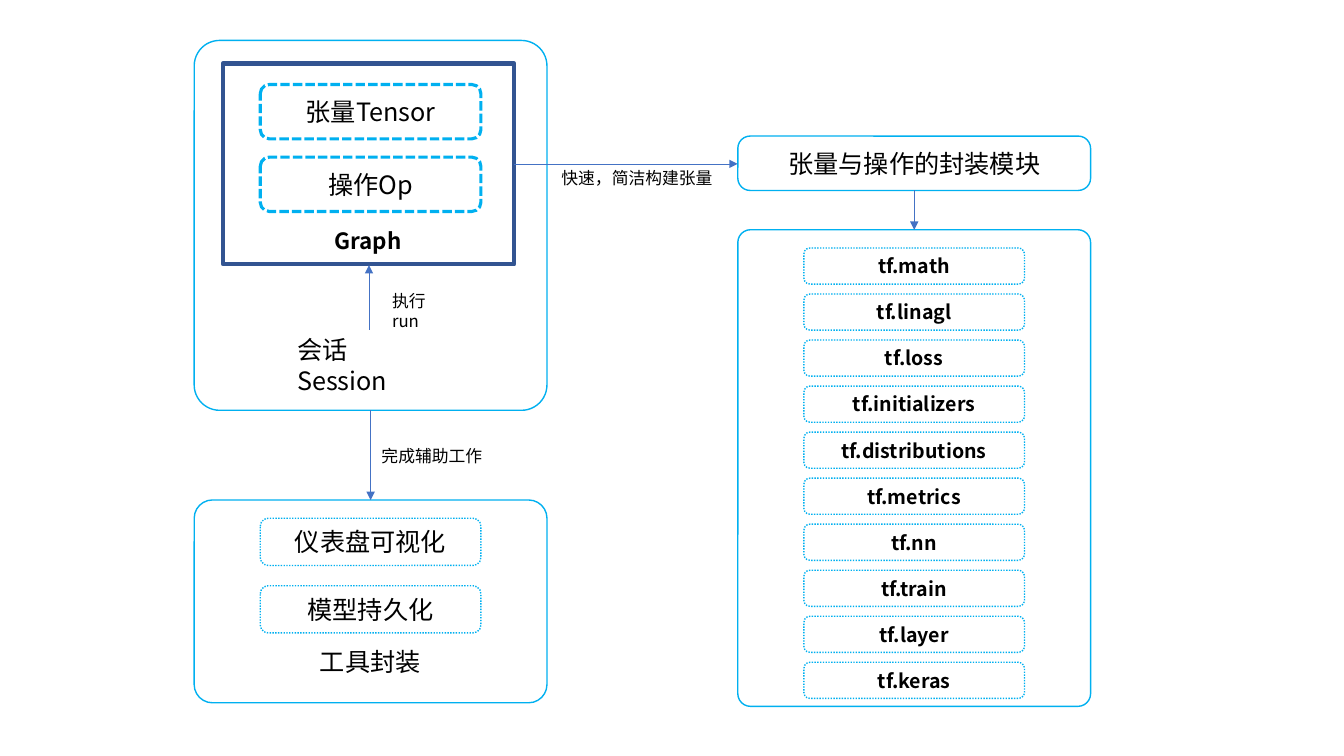
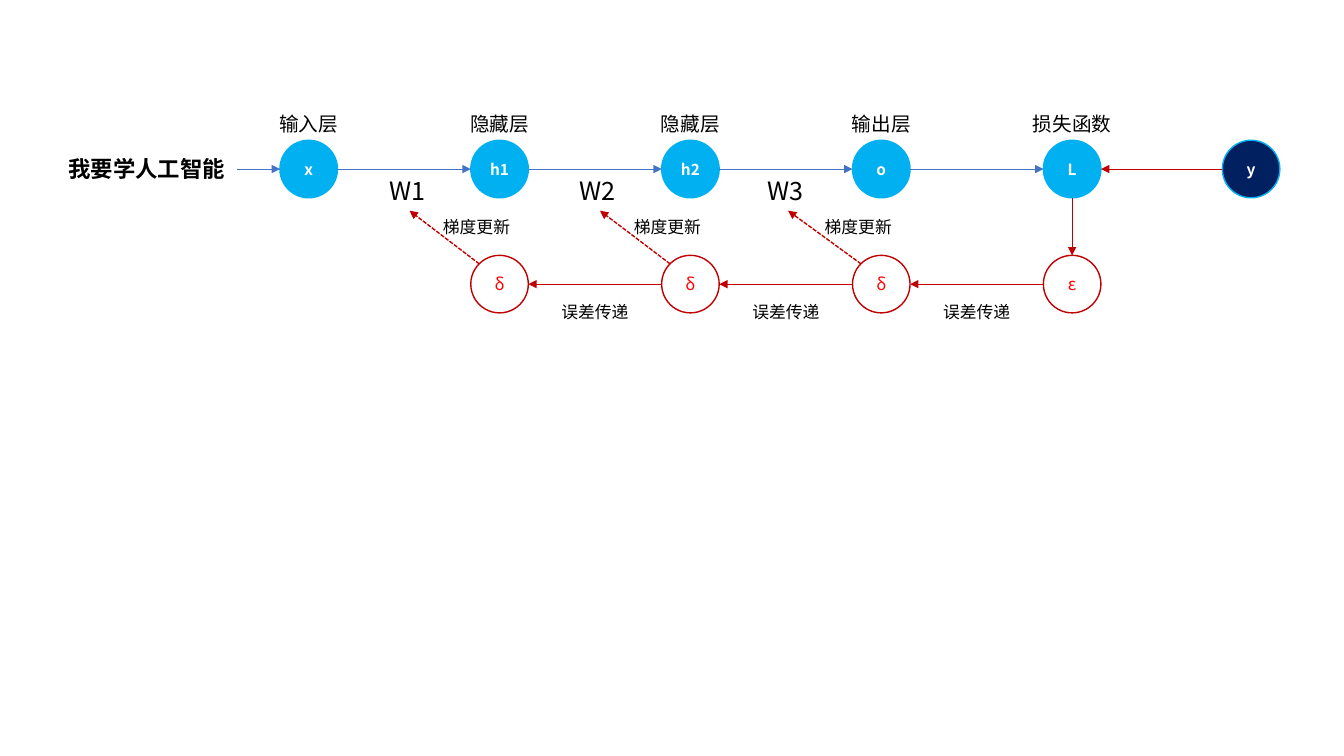
from lxml import etree
from pptx import Presentation
from pptx.dml.color import RGBColor
from pptx.enum.dml import MSO_LINE
from pptx.enum.shapes import MSO_CONNECTOR, MSO_SHAPE
from pptx.enum.text import MSO_ANCHOR, PP_ALIGN
from pptx.oxml.ns import qn
from pptx.util import Cm, Pt

FONT = "Noto Sans CJK SC"
SKY = RGBColor(0x00, 0xB0, 0xF0)
BLUE = RGBColor(0x44, 0x72, 0xC4)
FRAME_BLUE = RGBColor(0x32, 0x54, 0x91)
NAVY = RGBColor(0x00, 0x20, 0x60)
CRIMSON = RGBColor(0xC0, 0x00, 0x00)
RED = RGBColor(0xFF, 0x00, 0x00)
BLACK = RGBColor(0x00, 0x00, 0x00)
WHITE = RGBColor(0xFF, 0xFF, 0xFF)

ROUNDED = MSO_SHAPE.ROUNDED_RECTANGLE
RECTANGLE = MSO_SHAPE.RECTANGLE
OVAL = MSO_SHAPE.OVAL
STRAIGHT = MSO_CONNECTOR.STRAIGHT
DASHED = MSO_LINE.SQUARE_DOT
DOTTED = MSO_LINE.ROUND_DOT
CENTER = PP_ALIGN.CENTER
LEFT = PP_ALIGN.LEFT
MIDDLE = MSO_ANCHOR.MIDDLE


def add_box(slide, left, top, width, height, lines=(), size=18, bold=False,
            color=BLACK, align=CENTER, form=None, line=SKY, weight=1,
            dash=None, fill=None, corner=None):
    """Add an outlined shape, or a plain text label when form is None."""
    place = Cm(left), Cm(top), Cm(width), Cm(height)
    if form is None:
        box = slide.shapes.add_textbox(*place)
        box.text_frame.word_wrap = False
    else:
        box = slide.shapes.add_shape(form, *place)
        box.shadow.inherit = False
        box.line.color.rgb = line
        box.line.width = Pt(weight)
        if dash:
            box.line.dash_style = dash
        if fill:
            box.fill.solid()
            box.fill.fore_color.rgb = fill
        else:
            box.fill.background()
        if corner:
            box.adjustments[0] = corner
        frame = box.text_frame
        frame.vertical_anchor = MIDDLE
        frame.margin_left = frame.margin_right = 0
        frame.margin_top = frame.margin_bottom = 0

    para = box.text_frame.paragraphs[0]
    para.alignment = align
    for number, text in enumerate(lines):
        if number:
            para.add_line_break()
        span = para.add_run()
        span.text = text
        span.font.size = Pt(size)
        span.font.bold = bold
        span.font.color.rgb = color
        span.font.name = FONT
        etree.SubElement(span._r.get_or_add_rPr(), qn("a:ea"), typeface=FONT)


def add_arrow(slide, start, end, color=BLUE, weight=0.5, dash=None):
    points = [Cm(value) for value in (*start, *end)]
    arrow = slide.shapes.add_connector(STRAIGHT, *points)
    arrow.line.color.rgb = color
    arrow.line.width = Pt(weight)
    if dash:
        arrow.line.dash_style = dash
    properties = arrow._element.spPr
    etree.SubElement(properties.find(qn("a:ln")), qn("a:tailEnd"), type="triangle")
    etree.SubElement(properties, qn("a:effectLst"))


deck = Presentation()
deck.slide_width, deck.slide_height = Cm(33.87), Cm(19.05)
blank = deck.slide_layouts[6]

# Slide 1: framework structure
slide = deck.slides.add_slide(blank)
PANEL_WIDTH, CHIP_WIDTH = 8.89, 5.56
LEFT_CENTER, RIGHT_CENTER = 9.34, 23.04

for center, top, height, corner, lines in (
    (LEFT_CENTER, 1.02, 9.32, 0.072, ()),
    (LEFT_CENTER, 12.6, 5.11, 0.09, ()),
    (RIGHT_CENTER, 3.43, 1.37, 0.226, ("张量与操作的封装模块",)),
    (RIGHT_CENTER, 5.79, 12.01, 0.036, ()),
):
    add_box(slide, center - PANEL_WIDTH / 2, top, PANEL_WIDTH, height, lines,
            form=ROUNDED, corner=corner)
add_box(slide, 5.62, 1.6, 7.34, 5.06, form=RECTANGLE, line=FRAME_BLUE, weight=3)

modules = ("math", "linagl", "loss", "initializers", "distributions",
           "metrics", "nn", "train", "layer", "keras")
chip_groups = (
    (LEFT_CENTER, 2.13, 1.83, 1.37, ("张量Tensor", "操作Op"), 18, False, 2.25, DASHED),
    (LEFT_CENTER, 13.06, 1.7, 1.19, ("仪表盘可视化", "模型持久化"), 18, False, 1, DOTTED),
    (RIGHT_CENTER, 6.25, 1.16, 0.91, [f"tf.{name}" for name in modules],
     14, True, 1, DOTTED),
)
for center, top, step, height, names, size, bold, weight, dash in chip_groups:
    for row, name in enumerate(names):
        add_box(slide, center - CHIP_WIDTH / 2, top + row * step, CHIP_WIDTH, height,
                [name], size, bold, form=ROUNDED, weight=weight, dash=dash)

for start, end in (
    ((12.95, 4.13), (18.59, 4.13)),
    ((LEFT_CENTER, 10.34), (LEFT_CENTER, 12.6)),
    ((RIGHT_CENTER, 4.8), (RIGHT_CENTER, 5.79)),
    ((9.3, 8.31), (9.3, 6.68)),
):
    add_arrow(slide, start, end)

add_box(slide, 8.15, 5.59, 2.26, 0.94, ["Graph"], 16, True)
add_box(slide, 9.63, 7.21, 1.35, 1.25, ["执行", "run"], 12, align=LEFT)
add_box(slide, 7.24, 8.31, 3, 1.9, ["会话", "Session"], align=LEFT)
add_box(slide, 13.87, 4.11, 4.37, 0.76, ["快速，简洁构建张量"], 12)
add_box(slide, 9.35, 11.1, 3.07, 0.76, ["完成辅助工作"], 12)
add_box(slide, 7.8, 16.15, 3.07, 1.02, ["工具封装"])

# Slide 2: forward pass and error backpropagation
slide = deck.slides.add_slide(blank)
DIAMETER = 1.45
RADIUS = DIAMETER / 2
FORWARD_Y, BACK_Y = 4.26, 7.16
TARGET_X = 31.53
LABEL_WIDTH = 2.5
centers = [7.78 + 4.81 * column for column in range(5)]
layers = (("x", "输入层"), ("h1", "隐藏层"), ("h2", "隐藏层"),
          ("o", "输出层"), ("L", "损失函数"))

nodes = [(x, FORWARD_Y, symbol, SKY) for x, (symbol, _) in zip(centers, layers)]
nodes.append((TARGET_X, FORWARD_Y, "y", NAVY))
nodes += [(x, BACK_Y, symbol, None) for x, symbol in zip(centers[1:], "δδδε")]
for x, y, symbol, fill in nodes:
    add_box(slide, x - RADIUS, y - RADIUS, DIAMETER, DIAMETER, [symbol],
            size=11 if fill else 12, bold=bool(fill), color=WHITE if fill else RED,
            form=OVAL, line=SKY if fill else CRIMSON, fill=fill)

for x, (_, name) in zip(centers, layers):
    add_box(slide, x - LABEL_WIDTH / 2, 2.69, LABEL_WIDTH, 0.86, [name], 14)

add_box(slide, 1.45, 3.78, 4.5, 0.94, ["我要学人工智能"], 16, True)
add_arrow(slide, (5.97, FORWARD_Y), (centers[0] - RADIUS, FORWARD_Y))
for x, following in zip(centers, centers[1:]):
    add_arrow(slide, (x + RADIUS, FORWARD_Y), (following - RADIUS, FORWARD_Y))

loss_x = centers[-1]
add_arrow(slide, (TARGET_X - RADIUS, FORWARD_Y), (loss_x + RADIUS, FORWARD_Y), CRIMSON)
add_arrow(slide, (loss_x, FORWARD_Y + RADIUS), (loss_x, BACK_Y - RADIUS), CRIMSON)

weights = (("W1", 10.32), ("W2", 15.12), ("W3", 19.86))
for x, following, (weight_name, weight_x) in zip(centers[1:], centers[2:], weights):
    add_arrow(slide, (following - RADIUS, BACK_Y), (x + RADIUS, BACK_Y), CRIMSON)
    add_arrow(slide, (x - 0.51, BACK_Y - 0.51), (weight_x, 5.31), CRIMSON, 1, DASHED)
    for center, top, text, size in (
        (weight_x - 0.06, 4.29, weight_name, 18),
        (x - 0.58, 5.33, "梯度更新", 12),
        ((x + following) / 2, 7.47, "误差传递", 12),
    ):
        add_box(slide, center - LABEL_WIDTH / 2, top, LABEL_WIDTH, 0.76, [text], size)

deck.save("out.pptx")
